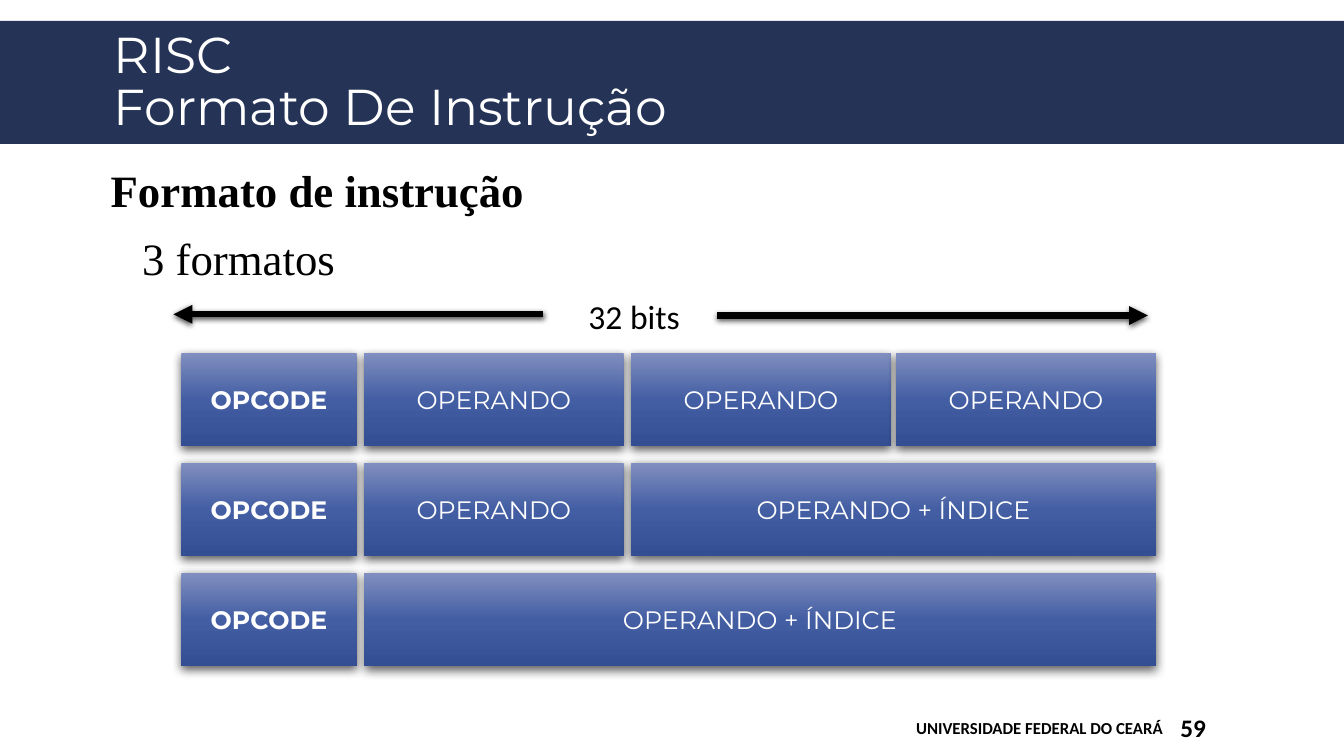
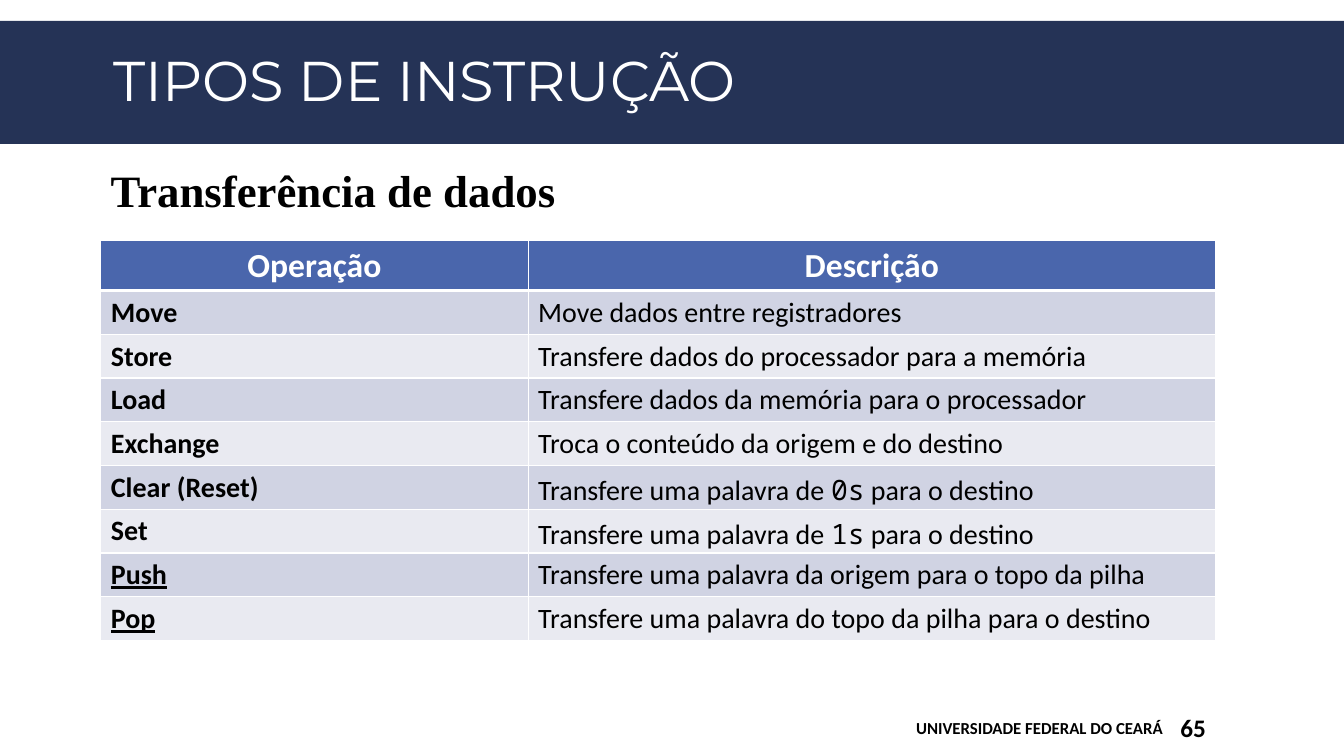
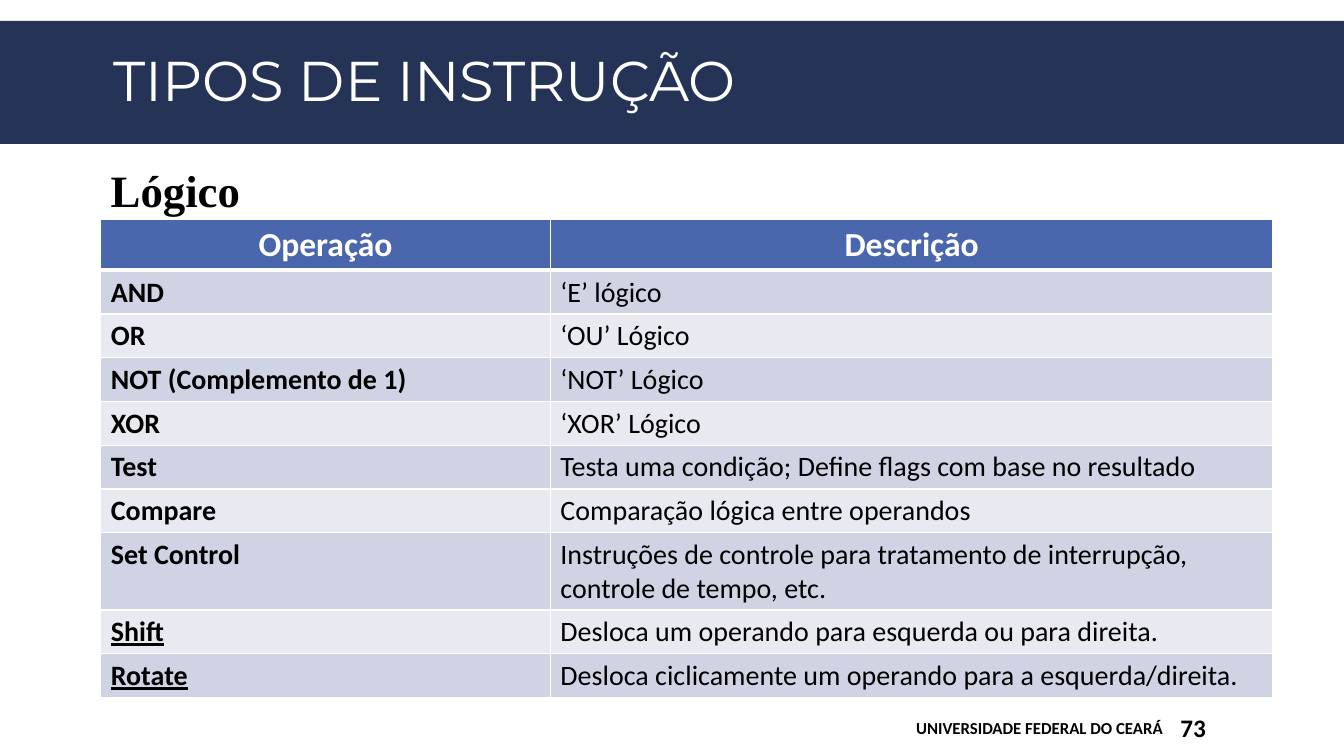
from dataclasses import dataclass
from typing import Any

import lxml.etree
import pptx
import pptx.dml.color
import pptx.enum.shapes
import pptx.enum.text
import pptx.oxml.ns
import pptx.util

Cm = pptx.util.Cm
Pt = pptx.util.Pt
RGBColor = pptx.dml.color.RGBColor
PP_ALIGN = pptx.enum.text.PP_ALIGN
MSO_ANCHOR = pptx.enum.text.MSO_ANCHOR
qn = pptx.oxml.ns.qn

WHITE = RGBColor(0xFF, 0xFF, 0xFF)
BLACK = RGBColor(0x00, 0x00, 0x00)
NAVY = RGBColor(0x25, 0x33, 0x56)
HEADER_BLUE = RGBColor(0x4A, 0x66, 0xAC)
ROW_DARK = RGBColor(0xD0, 0xD3, 0xE3)
ROW_LIGHT = RGBColor(0xE9, 0xEA, 0xF1)
FIELD_GRADIENT = (
    (0, RGBColor(0x81, 0x8F, 0xC0)),
    (50, RGBColor(0x43, 0x5E, 0xA3)),
    (100, RGBColor(0x33, 0x4E, 0x92)),
)

SLIDE_WIDTH, SLIDE_HEIGHT = Cm(33.87), Cm(19.05)
MARGIN_LEFT = Cm(2.54)
ROW_HEIGHT = Cm(1.04)
MONO = "Noto Sans Mono"

HEADING_FONT = {"name": "Times New Roman", "size": Pt(32), "bold": True}
FOOTER_FONT = {"name": "Calibri", "size": Pt(12), "bold": True}
NUMBER_FONT = {"name": "Calibri", "size": Pt(18), "bold": True}
BITS_FONT = {"name": "Calibri", "size": Pt(24)}
FIELD_FONT = {"name": "Montserrat", "size": Pt(18)}
HEADER_FONT = {"name": "Calibri", "size": Pt(24), "bold": True}
CELL_FONT = {"name": "Calibri", "size": Pt(20), "bold": False}

BODY_SPACING = {"line_spacing": 0.9, "space_after": Pt(2)}

# Field columns of the 32-bit word: left and right edges in cm
FIELD_EDGES = ((4.57, 8.99), (9.17, 15.72), (15.9, 22.45), (22.58, 29.13))
FIELD_TOP, FIELD_PITCH, FIELD_HEIGHT = 8.89, 2.77, 2.36


@dataclass(frozen=True)
class Box:
    """Position and size in centimetres."""
    left: float
    top: float
    width: float
    height: float

    def lengths(self) -> tuple:
        return Cm(self.left), Cm(self.top), Cm(self.width), Cm(self.height)


@dataclass(frozen=True)
class Shadow:
    opacity: int
    blur: float
    distance: float


@dataclass(frozen=True)
class Field:
    """Part of an instruction, covering columns first to last."""
    label: str
    first: int
    last: int


@dataclass(frozen=True)
class Operation:
    """Table row; backticks in the description enclose monospaced text."""
    name: str
    description: str
    underlined: bool = False


@dataclass(frozen=True)
class OperationSlide:
    heading: str
    number: int
    top: float
    column_widths: tuple[float, float]
    operations: tuple[Operation, ...]


FIELD_SHADOW = Shadow(63, 7, 2.2)
ARROW_SHADOW = Shadow(68, 4, 1.2)

OPCODE = Field("OPCODE", 0, 0)
FORMATS = (
    (OPCODE, Field("OPERANDO", 1, 1), Field("OPERANDO", 2, 2), Field("OPERANDO", 3, 3)),
    (OPCODE, Field("OPERANDO", 1, 1), Field("OPERANDO + ÍNDICE", 2, 3)),
    (OPCODE, Field("OPERANDO + ÍNDICE", 1, 3)),
)

OPERATION_SLIDES = (
    OperationSlide("Transferência de dados", 65, 6.05, (10.77, 17.32), (
        Operation("Move", "Move dados entre registradores"),
        Operation("Store", "Transfere dados do processador para a memória"),
        Operation("Load", "Transfere dados da memória para o processador"),
        Operation("Exchange", "Troca o conteúdo da origem e do destino"),
        Operation("Clear (Reset)", "Transfere uma palavra de `0s` para o destino"),
        Operation("Set", "Transfere uma palavra de `1s` para o destino"),
        Operation("Push", "Transfere uma palavra da origem para o topo da pilha", True),
        Operation("Pop", "Transfere uma palavra do topo da pilha para o destino", True),
    )),
    OperationSlide("Lógico", 73, 5.54, (11.33, 18.21), (
        Operation("AND", "‘E’ lógico"),
        Operation("OR", "‘OU’ Lógico"),
        Operation("NOT (Complemento de 1)", "‘NOT’ Lógico"),
        Operation("XOR", "‘XOR’ Lógico"),
        Operation("Test", "Testa uma condição; Define flags com base no resultado"),
        Operation("Compare", "Comparação lógica entre operandos"),
        Operation("Set Control", "Instruções de controle para tratamento de interrupção, "
                                 "controle de tempo, etc."),
        Operation("Shift", "Desloca um operando para esquerda ou para direita.", True),
        Operation("Rotate", "Desloca ciclicamente um operando para a esquerda/direita.", True),
    )),
)


def apply_format(target: Any, values: dict) -> None:
    for attribute, value in values.items():
        setattr(target, attribute, value)


def add_run(paragraph: Any, text: str, font: dict, color: RGBColor = BLACK) -> None:
    run = paragraph.add_run()
    run.text = text
    apply_format(run.font, font)
    run.font.color.rgb = color


def add_text(slide: Any, box: Box, text: str, font: dict, color: RGBColor = BLACK,
             frame: dict | None = None, paragraph: dict | None = None) -> Any:
    """Add a text box, a line break for each newline, and return its frame."""
    text_frame = slide.shapes.add_textbox(*box.lengths()).text_frame
    apply_format(text_frame, {"word_wrap": True, **(frame or {})})
    first = text_frame.paragraphs[0]
    apply_format(first, paragraph or {})
    for index, line in enumerate(text.split("\n")):
        if index:
            first.add_line_break()
        add_run(first, line, font, color)
    return text_frame


def add_color(parent: Any, color: RGBColor) -> Any:
    return lxml.etree.SubElement(parent, qn("a:srgbClr"), val=str(color))


def add_shadow(shape: Any, shadow: Shadow) -> None:
    """Add a shadow falling straight down."""
    effects = lxml.etree.SubElement(shape.element.spPr, qn("a:effectLst"))
    outer = lxml.etree.SubElement(
        effects, qn("a:outerShdw"), blurRad=str(Pt(shadow.blur)),
        dist=str(Pt(shadow.distance)), dir="5400000", algn="ctr", rotWithShape="0")
    color = add_color(outer, BLACK)
    lxml.etree.SubElement(color, qn("a:alpha"), val=str(shadow.opacity * 1000))


def fill_gradient(shape: Any) -> None:
    shape.fill.gradient()
    shape.fill.gradient_angle = 270
    stops = shape.element.spPr.find(".//" + qn("a:gsLst"))
    for stop in list(stops):
        stops.remove(stop)
    for position, color in FIELD_GRADIENT:
        stop = lxml.etree.SubElement(stops, qn("a:gs"), pos=str(position * 1000))
        add_color(stop, color)


def add_rectangle(slide: Any, box: Box) -> Any:
    rectangle = slide.shapes.add_shape(
        pptx.enum.shapes.MSO_SHAPE.RECTANGLE, *box.lengths())
    rectangle.line.fill.background()
    return rectangle


def add_base_slide(deck: Any, title: str, title_size: int, heading: str,
                   number: int) -> tuple[Any, Any]:
    """Return a slide with band, title, heading and footer, and its body frame."""
    slide = deck.slides.add_slide(deck.slide_layouts[6])
    band = add_rectangle(slide, Box(0, 0.53, 33.87, 3.1))
    band.shadow.inherit = False
    band.fill.solid()
    band.fill.fore_color.rgb = NAVY

    middle = {"vertical_anchor": MSO_ANCHOR.MIDDLE}
    add_text(slide, Box(2.62, 0.64, 28.78, 2.95), title,
             {"name": "Montserrat", "size": Pt(title_size)}, WHITE,
             middle, {"line_spacing": 0.85})
    add_text(slide, Box(15.54, 17.83, 14.02, 1.02), "UNIVERSIDADE FEDERAL DO CEARÁ",
             FOOTER_FONT, frame=middle, paragraph={"alignment": PP_ALIGN.RIGHT})
    add_text(slide, Box(29.62, 17.83, 2.62, 1.02), str(number), NUMBER_FONT,
             frame={**middle, "margin_left": Cm(0.13)})
    body = add_text(slide, Box(2.54, 4.14, 28.78, 13.13), heading, HEADING_FONT,
                    paragraph=BODY_SPACING)
    return slide, body


def add_field(slide: Any, field: Field, row: int) -> None:
    left, right = FIELD_EDGES[field.first][0], FIELD_EDGES[field.last][1]
    block = add_rectangle(slide, Box(left, FIELD_TOP + row * FIELD_PITCH,
                                     right - left, FIELD_HEIGHT))
    fill_gradient(block)
    add_shadow(block, FIELD_SHADOW)
    block.text_frame.vertical_anchor = MSO_ANCHOR.MIDDLE
    paragraph = block.text_frame.paragraphs[0]
    paragraph.alignment = PP_ALIGN.CENTER
    add_run(paragraph, field.label, {**FIELD_FONT, "bold": field == OPCODE}, WHITE)


def add_arrow(slide: Any, start: float, end: float, y: float) -> None:
    arrow = slide.shapes.add_connector(
        pptx.enum.shapes.MSO_CONNECTOR.STRAIGHT, Cm(start), Cm(y), Cm(end), Cm(y))
    arrow.line.width = Pt(4.5)
    arrow.line.color.rgb = BLACK
    lxml.etree.SubElement(arrow.line._get_or_add_ln(), qn("a:tailEnd"), type="triangle")
    add_shadow(arrow, ARROW_SHADOW)


def set_borders(cell: Any, top: float, bottom: float) -> None:
    properties = cell._tc.get_or_add_tcPr()
    sides = (("a:lnL", 1), ("a:lnR", 1), ("a:lnT", top), ("a:lnB", bottom))
    for index, (tag, width) in enumerate(sides):
        border = lxml.etree.Element(qn(tag), w=str(Pt(width)))
        add_color(lxml.etree.SubElement(border, qn("a:solidFill")), WHITE)
        properties.insert(index, border)


def style_cell(cell: Any, fill: RGBColor, top: float = 1, bottom: float = 1) -> None:
    cell.fill.solid()
    cell.fill.fore_color.rgb = fill
    set_borders(cell, top, bottom)


def add_operation_table(slide: Any, content: OperationSlide) -> None:
    row_count = len(content.operations) + 1
    table = slide.shapes.add_table(
        row_count, 2, MARGIN_LEFT, Cm(content.top),
        Cm(sum(content.column_widths)), ROW_HEIGHT * row_count).table
    for column, width in zip(table.columns, content.column_widths):
        column.width = Cm(width)

    for cell, label in zip(table.rows[0].cells, ("Operação", "Descrição")):
        style_cell(cell, HEADER_BLUE, bottom=3)
        paragraph = cell.text_frame.paragraphs[0]
        paragraph.alignment = PP_ALIGN.CENTER
        add_run(paragraph, label, HEADER_FONT, WHITE)

    for row, operation in enumerate(content.operations, start=1):
        name, description = table.rows[row].cells
        for cell in (name, description):
            style_cell(cell, ROW_DARK if row % 2 else ROW_LIGHT, top=3 if row == 1 else 1)
        add_run(name.text_frame.paragraphs[0], operation.name,
                {**CELL_FONT, "bold": True, "underline": operation.underlined})
        for part, text in enumerate(operation.description.split("`")):
            font = {**CELL_FONT, "name": MONO} if part % 2 else CELL_FONT
            add_run(description.text_frame.paragraphs[0], text, font)


def add_format_slide(deck: Any) -> None:
    slide, body = add_base_slide(deck, "RISC\nFormato De Instrução", 36,
                                 "Formato de instrução", 59)
    count = body.add_paragraph()
    apply_format(count, {**BODY_SPACING, "space_before": Pt(12)})
    count._p.get_or_add_pPr().set("marL", str(Cm(0.79)))
    add_run(count, "3 formatos", {**HEADING_FONT, "bold": False})

    add_text(slide, Box(14.58, 7.34, 2.82, 1.27), "32 bits", BITS_FONT,
             frame={"word_wrap": False})
    add_arrow(slide, 13.69, 4.37, 7.92)
    add_arrow(slide, 18.08, 28.93, 7.95)
    for row, fields in enumerate(FORMATS):
        for field in fields:
            add_field(slide, field, row)


def main() -> None:
    deck = pptx.Presentation()
    apply_format(deck, {"slide_width": SLIDE_WIDTH, "slide_height": SLIDE_HEIGHT})
    add_format_slide(deck)
    for content in OPERATION_SLIDES:
        slide, _ = add_base_slide(deck, "TIPOS DE INSTRUÇÃO", 40,
                                  content.heading, content.number)
        add_operation_table(slide, content)
    deck.save("out.pptx")


if __name__ == "__main__":
    main()
